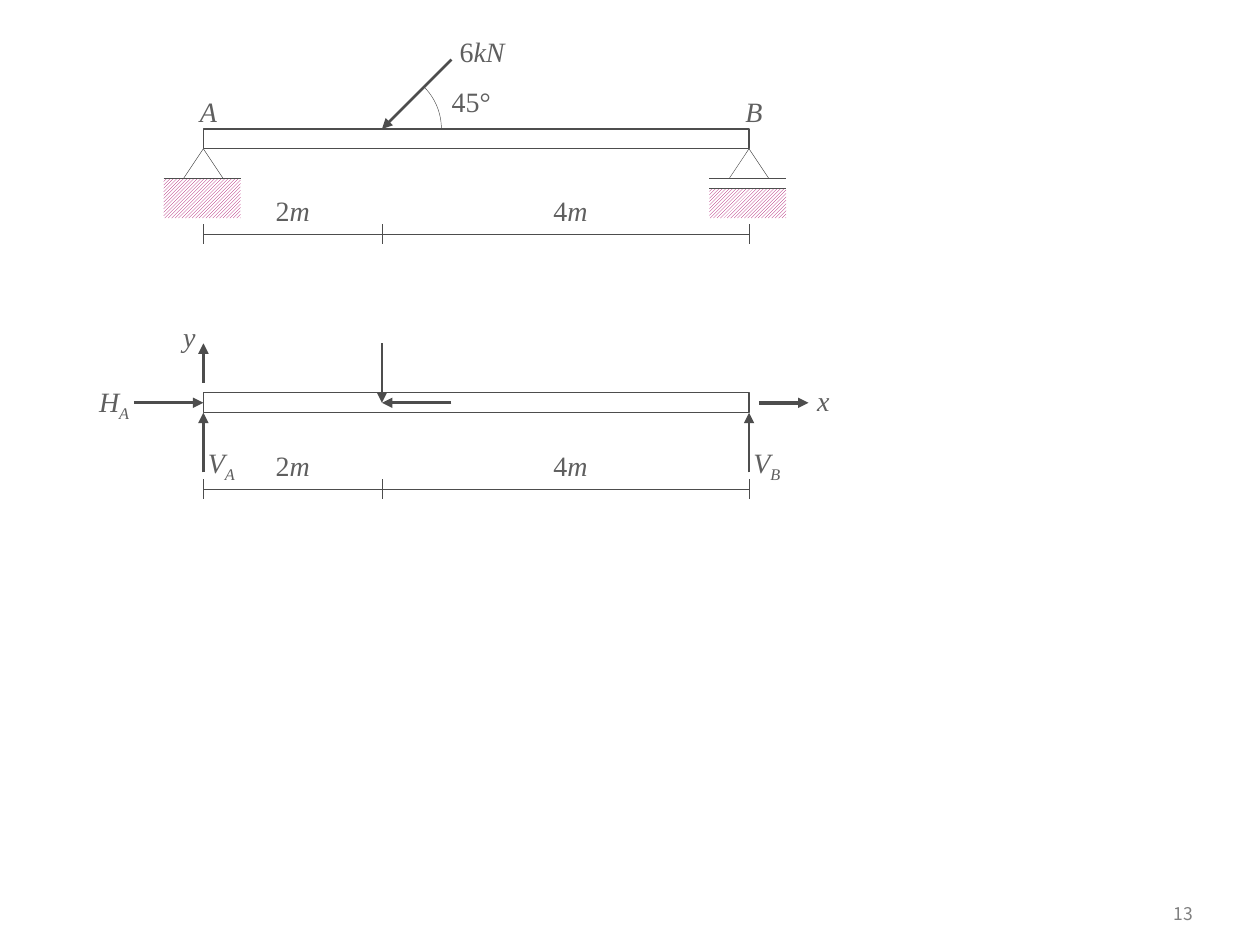
from lxml import etree
from pptx import Presentation
from pptx.dml.color import RGBColor
from pptx.enum.dml import MSO_PATTERN
from pptx.enum.shapes import MSO_CONNECTOR, MSO_SHAPE
from pptx.enum.text import MSO_ANCHOR, PP_ALIGN
from pptx.oxml.ns import qn
from pptx.util import Cm, Inches, Pt

STRAIGHT = MSO_CONNECTOR.STRAIGHT
RECTANGLE, TRIANGLE, ARC = MSO_SHAPE.RECTANGLE, MSO_SHAPE.ISOSCELES_TRIANGLE, MSO_SHAPE.ARC
HATCH = MSO_PATTERN.LIGHT_UPWARD_DIAGONAL
CENTER, RIGHT, MIDDLE = PP_ALIGN.CENTER, PP_ALIGN.RIGHT, MSO_ANCHOR.MIDDLE

COLORS = {name: RGBColor.from_string(code) for name, code in {
    "line": "4D4D4D", "text": "5F5F5F", "number": "808080",
    "hatch": "A90165", "paper": "FFFFFF"}.items()}
MATH_FONT, PAGE_FONT = "Times New Roman", "Noto Sans CJK KR"
THIN, BEAM_LINE, BOLD = 0.25, 0.75, 1.5

# Grid of 2 mm squares: all places below are columns and rows
CELL = Cm(0.2)
LEFT_END, LOAD_AT, RIGHT_END = 20.5, 38.5, 75.5
BEAM_DEPTH = 2
BEAM_TOP, FREE_TOP = 13, 39.6
FREE_AXIS, FREE_BOTTOM = FREE_TOP + BEAM_DEPTH / 2, FREE_TOP + BEAM_DEPTH
SUPPORT_TOP = BEAM_TOP + BEAM_DEPTH
GROUND, HATCH_BOTTOM, HATCH_WIDTH = SUPPORT_TOP + 3, 22, 7.75
ARC_RADIUS = 6

deck = Presentation()
deck.slide_width, deck.slide_height = Inches(10), Inches(7.5)
page = deck.slides.add_slide(deck.slide_layouts[6])


def draw_line(x1, y1, x2, y2, width=THIN, arrow=False):
    line = page.shapes.add_connector(
        STRAIGHT, *(round(value * CELL) for value in (x1, y1, x2, y2)))
    line.line.color.rgb = COLORS["line"]
    line.line.width = Pt(width)
    properties = line._element.spPr
    if arrow:
        etree.SubElement(properties.find(qn("a:ln")), qn("a:tailEnd"), type="triangle")
    etree.SubElement(properties, qn("a:effectLst"))
    return line


def write(spans, middle, top, columns, rows=4.7, size=16, font=MATH_FONT,
          color="text", align=CENTER):
    """Each span is (text, style): plain, italic or sub (italic subscript)."""
    box = page.shapes.add_textbox(*(round(value * CELL) for value in (
        middle - columns / 2, top, columns, rows)))
    box.text_frame.word_wrap = True
    para = box.text_frame.paragraphs[0]
    para.alignment = align
    for text, style in spans:
        span = para.add_run()
        span.text = text
        span.font.name, span.font.size = font, Pt(size)
        span.font.color.rgb = COLORS[color]
        span.font.italic = style != "plain"
        if style == "sub":
            span._r.get_or_add_rPr().set("baseline", "-25000")
    return box


# Hatched ground: fixed support on the left, roller gap on the right
for end, gap in ((LEFT_END, 0), (RIGHT_END, 1)):
    left, top = end - 4, GROUND + gap
    ground = page.shapes.add_shape(RECTANGLE, *(round(value * CELL) for value in (
        left, top, HATCH_WIDTH, HATCH_BOTTOM - top)))
    ground.shadow.inherit = False
    ground.fill.patterned()
    ground.fill.pattern = HATCH
    ground.fill.fore_color.rgb = COLORS["hatch"]
    ground.fill.back_color.rgb = COLORS["paper"]
    ground.line.fill.background()
    for row in sorted({GROUND, top}):
        draw_line(left, row, left + HATCH_WIDTH, row)

# Outlined shapes: support triangles, both beams, angle arc
span_width = RIGHT_END - LEFT_END
for kind, left, top, columns, rows, width in (
        (TRIANGLE, LEFT_END - 2, SUPPORT_TOP, 4, 3, THIN),
        (TRIANGLE, RIGHT_END - 2, SUPPORT_TOP, 4, 3, THIN),
        (ARC, LOAD_AT - ARC_RADIUS, BEAM_TOP - ARC_RADIUS,
         2 * ARC_RADIUS, 2 * ARC_RADIUS, THIN),
        (RECTANGLE, LEFT_END, BEAM_TOP, span_width, BEAM_DEPTH, BEAM_LINE),
        (RECTANGLE, LEFT_END, FREE_TOP, span_width, BEAM_DEPTH, BEAM_LINE)):
    outline = page.shapes.add_shape(kind, *(round(value * CELL) for value in (
        left, top, columns, rows)))
    outline.shadow.inherit = False
    outline.fill.background()
    outline.line.color.rgb = COLORS["line"]
    outline.line.width = Pt(width)
    if kind == ARC:
        outline.adjustments[0] = 189
        outline.adjustments[1] = 0
free_beam = outline

# Applied load and its two components
draw_line(LOAD_AT + 7, BEAM_TOP - 7, LOAD_AT, BEAM_TOP, BOLD, True)
draw_line(LOAD_AT + 7, FREE_AXIS, LOAD_AT, FREE_AXIS, BOLD, True)
draw_line(LOAD_AT, FREE_AXIS - 6, LOAD_AT, FREE_AXIS, BOLD, True)

# Support reactions
for end in (LEFT_END, RIGHT_END):
    draw_line(end, FREE_BOTTOM + 6, end, FREE_BOTTOM, BOLD, True)
horizontal = draw_line(LEFT_END - 7, FREE_AXIS, LEFT_END, FREE_AXIS, BOLD, True)
horizontal.end_connect(free_beam, 1)

# Coordinate axes
draw_line(LEFT_END, FREE_TOP - 1, LEFT_END, FREE_TOP - 5, 0, True)
draw_line(RIGHT_END + 1, FREE_AXIS, RIGHT_END + 6, FREE_AXIS, 0, True)

# Dimension lines
for row in (23.6, 49.3):
    draw_line(LEFT_END, row, RIGHT_END, row)
    for column in (LEFT_END, LOAD_AT, RIGHT_END):
        draw_line(column, row - 1, column, row + 1)
    for metres, middle in (("2", 29.5), ("4", 57.5)):
        write([(metres, "plain"), ("m", "italic")], middle, row - 4.7, 10)

# Labels
for spans, middle, top, columns in (
        ([("A", "italic")], 21, 8.9, 7),
        ([("B", "italic")], 76, 8.9, 7),
        ([("6", "plain"), ("kN", "italic")], 48.6, 2.9, 10),
        ([("45°", "plain")], 47.5, 7.9, 12),
        ([("V", "italic"), ("A", "sub")], 22.3, 44.3, 7),
        ([("V", "italic"), ("B", "sub")], 77.3, 44.3, 7),
        ([("H", "italic"), ("A", "sub")], 11.5, 38.1, 8),
        ([("x", "italic")], 83, 38, 5),
        ([("y", "italic")], 19.1, 31.6, 5)):
    write(spans, middle, top, columns)

# Page number
number = write([("13", "plain")], 117, 90, 9, 4.2, 10, PAGE_FONT, "number", RIGHT)
number.text_frame.vertical_anchor = MIDDLE

deck.save("out.pptx")
